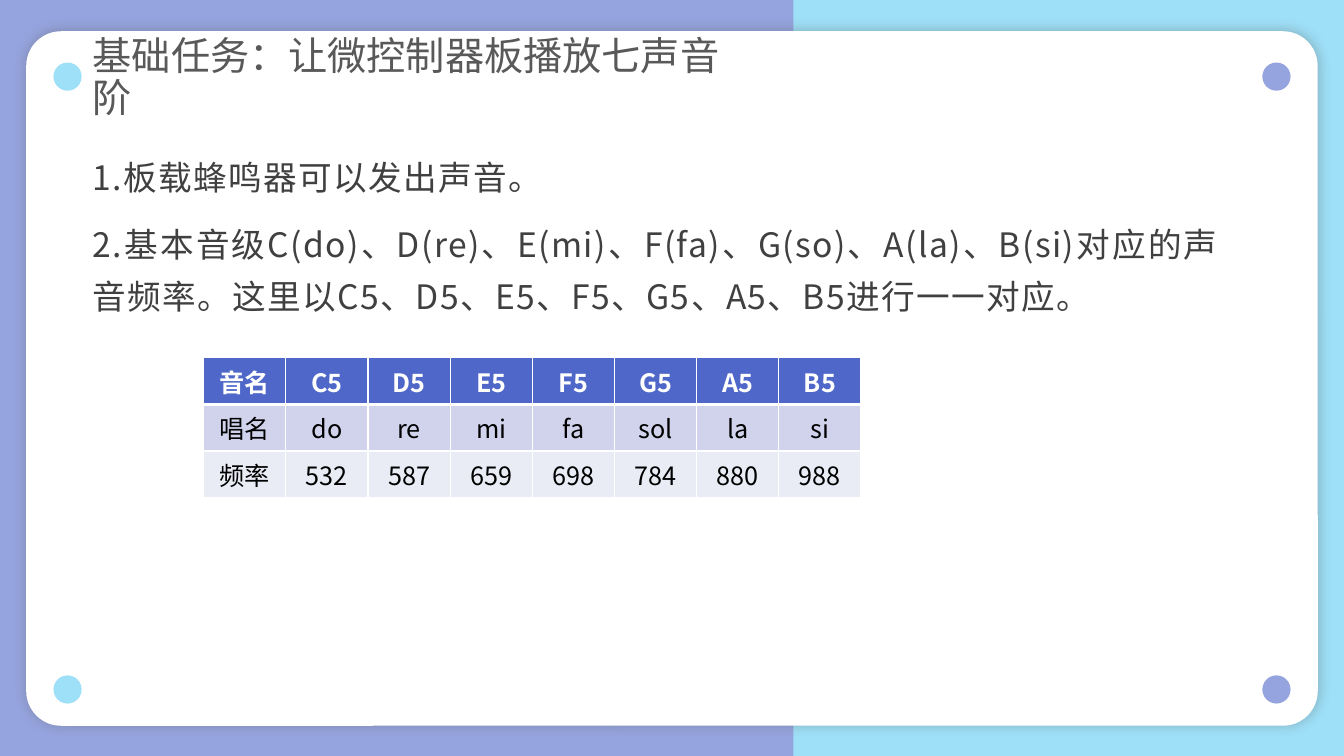
from dataclasses import dataclass
from itertools import product

from pptx import Presentation, oxml
from pptx.dml.color import RGBColor
from pptx.enum import shapes, text
from pptx.oxml import ns
from pptx.util import Inches, Pt


@dataclass(frozen=True)
class Theme:
    font: str = "Noto Sans CJK SC"
    sky: str = "9EE0F8"
    lavender: str = "95A4DE"
    white: str = "FFFFFF"
    title: str = "595959"
    body: str = "404040"
    cell: str = "000000"
    shadow: str = "595959"
    row_fills: tuple = ("4E67C8", "D0D3EB", "E9EBF5")
    title_size: int = 28
    body_size: int = 24
    cell_size: int = 18


THEME = Theme()

TITLE = "基础任务：让微控制器板播放七声音阶"
POINTS = [
    "1.板载蜂鸣器可以发出声音。",
    "2.基本音级C(do)、D(re)、E(mi)、F(fa)、G(so)、A(la)、B(si)对应的声音频率。"
    "这里以C5、D5、E5、F5、G5、A5、B5进行一一对应。",
]
NOTES = [
    ["音名", "C5", "D5", "E5", "F5", "G5", "A5", "B5"],
    ["唱名", "do", "re", "mi", "fa", "sol", "la", "si"],
    ["频率", "532", "587", "659", "698", "784", "880", "988"],
]


def rgb(color):
    return RGBColor.from_string(color)


def xml(markup):
    """Parse an element whose root tag declares the drawing namespace."""
    tag, rest = markup.split(" ", 1)
    return oxml.parse_xml(f"{tag} {ns.nsdecls('a')} {rest}")


def write(paragraph, words, *, size, color, bold=False, align=None,
          line=None, before=None, spacing=None):
    """Fill one paragraph with formatted text."""
    paragraph.alignment = align
    paragraph.line_spacing = line
    paragraph.space_before = before
    run = paragraph.add_run()
    run.text = words
    run.font.size = Pt(size)
    run.font.bold = bold
    run.font.color.rgb = rgb(color)
    run.font.name = THEME.font
    properties = run._r.get_or_add_rPr()
    properties.append(xml(f'<a:ea typeface="{THEME.font}"/>'))
    properties.set("lang", "zh-CN")
    if spacing:
        properties.set("spc", str(spacing * 100))


def add_panel(slide, kind, left, top, width, height, color):
    panel = slide.shapes.add_shape(
        kind, Inches(left), Inches(top), Inches(width), Inches(height))
    panel.shadow.inherit = False
    panel.fill.solid()
    panel.fill.fore_color.rgb = rgb(color)
    panel.line.fill.background()
    return panel


def add_backdrop(slide):
    slide.background.fill.solid()
    slide.background.fill.fore_color.rgb = rgb(THEME.sky)
    kinds = shapes.MSO_SHAPE
    add_panel(slide, kinds.RECTANGLE, -0.02, 0, 7.89, 7.5, THEME.lavender)

    # White card with a soft shadow
    card = add_panel(slide, kinds.ROUNDED_RECTANGLE,
                     0.26, 0.31, 12.81, 6.89, THEME.white)
    card.adjustments[0] = 0.05
    effects = card._element.spPr.find(ns.qn("a:effectLst"))
    effects.append(xml(
        f'<a:outerShdw blurRad="{Pt(9)}" dist="{Pt(1)}" dir="0" algn="ctr" '
        f'rotWithShape="0"><a:srgbClr val="{THEME.shadow}">'
        '<a:alpha val="36000"/></a:srgbClr></a:outerShdw>'))

    # Corner dots
    columns = [(0.53, THEME.sky), (12.52, THEME.lavender)]
    for top, (left, color) in product((0.62, 6.7), columns):
        add_panel(slide, kinds.OVAL, left, top, 0.28, 0.28, color)


def place(slide, holder, left, top, width, height, anchor, fit):
    """Move a placeholder in front of the backdrop and set up its frame."""
    slide.shapes._spTree.append(holder._element)
    holder.left, holder.top = Inches(left), Inches(top)
    holder.width, holder.height = Inches(width), Inches(height)
    frame = holder.text_frame
    frame.word_wrap = True
    frame.auto_size = fit
    frame.vertical_anchor = anchor
    frame.margin_left = frame.margin_right = 0
    frame.margin_top = frame.margin_bottom = Inches(0.05)
    return frame


def add_title(slide):
    frame = place(slide, slide.shapes.title, 0.92, 0.52, 6.24, 0.52,
                  text.MSO_ANCHOR.MIDDLE,
                  text.MSO_AUTO_SIZE.SHAPE_TO_FIT_TEXT)
    write(frame.paragraphs[0], TITLE, size=THEME.title_size,
          color=THEME.title, align=text.PP_ALIGN.LEFT, line=0.9)


def add_points(slide):
    frame = place(slide, slide.placeholders[1], 0.92, 1.39, 11.17, 4.71,
                  text.MSO_ANCHOR.TOP, text.MSO_AUTO_SIZE.NONE)
    for index, point in enumerate(POINTS):
        paragraph = frame.add_paragraph() if index else frame.paragraphs[0]
        write(paragraph, point, size=THEME.body_size, color=THEME.body,
              align=text.PP_ALIGN.JUSTIFY, line=1.3, before=Pt(10), spacing=1)
        properties = paragraph._p.get_or_add_pPr()
        properties.set("marL", "0")
        properties.set("indent", "0")
        properties.append(xml("<a:buNone />"))


def add_borders(cell, **widths):
    """Draw white cell edges; widths are points for L, R, T and B."""
    properties = cell._tc.get_or_add_tcPr()
    for index, side in enumerate("LRTB"):
        properties.insert(index, xml(
            f'<a:ln{side} w="{Pt(widths.get(side, 1))}"><a:solidFill>'
            f'<a:srgbClr val="{THEME.white}"/></a:solidFill></a:ln{side}>'))


def add_note_table(slide):
    rows, columns = len(NOTES), len(NOTES[0])
    table = slide.shapes.add_table(
        rows, columns, Inches(2.02), Inches(3.55),
        Inches(6.52), Inches(1.22)).table
    table.horz_banding = False
    for row, column in product(range(rows), range(columns)):
        cell = table.cell(row, column)
        header = row == 0
        cell.vertical_anchor = text.MSO_ANCHOR.MIDDLE
        cell.fill.solid()
        cell.fill.fore_color.rgb = rgb(THEME.row_fills[row])
        add_borders(cell, T=3 if row == 1 else 1, B=3 if header else 1)
        write(cell.text_frame.paragraphs[0], NOTES[row][column],
              size=THEME.cell_size, bold=header,
              color=THEME.white if header else THEME.cell,
              align=text.PP_ALIGN.CENTER)


def main():
    deck = Presentation()
    deck.slide_width, deck.slide_height = Inches(13.33), Inches(7.5)
    slide = deck.slides.add_slide(deck.slide_layouts[1])
    add_backdrop(slide)
    add_title(slide)
    add_points(slide)
    add_note_table(slide)
    deck.save("out.pptx")


if __name__ == "__main__":
    main()
